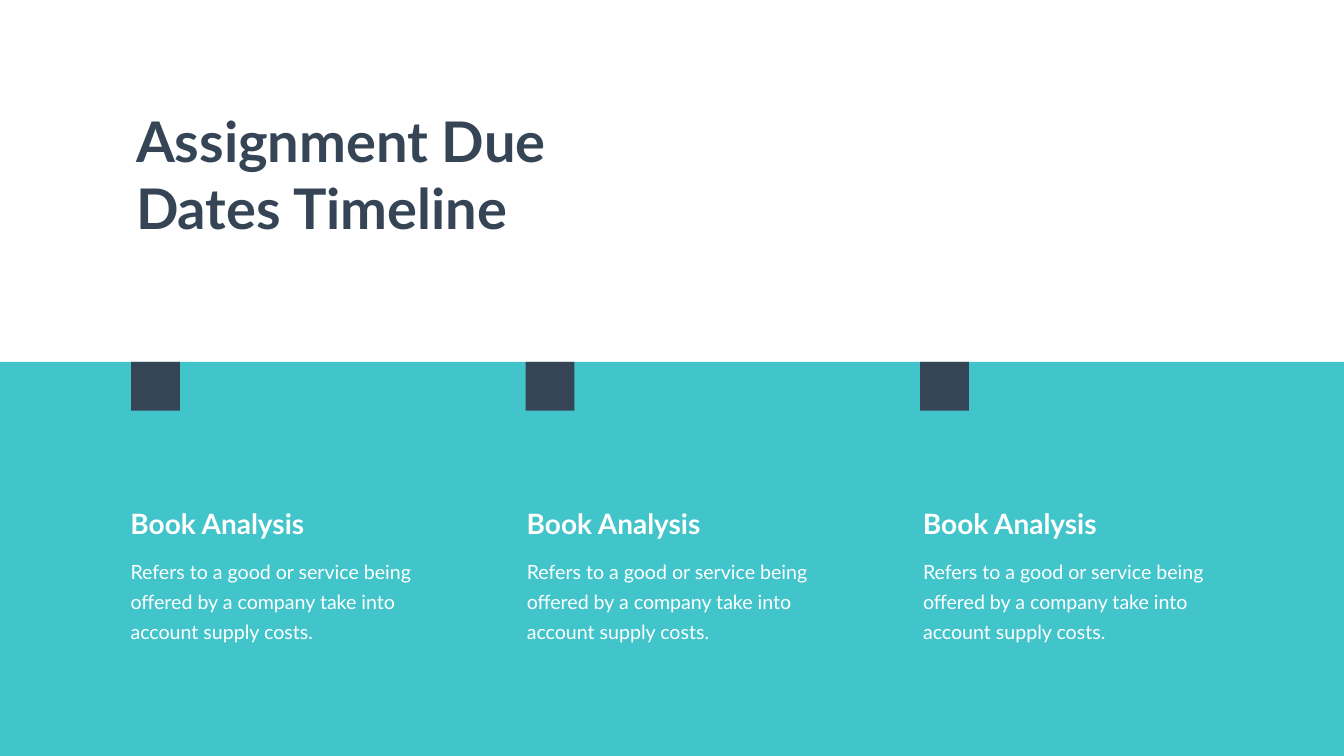
from dataclasses import dataclass

from pptx import Presentation
from pptx.dml.color import RGBColor
from pptx.enum.shapes import MSO_SHAPE
from pptx.util import Inches, Pt

RECTANGLE = MSO_SHAPE.RECTANGLE


@dataclass(frozen=True)
class Theme:
    font: str = "Lato"
    navy: str = "364556"
    teal: str = "42C4CB"
    white: str = "FFFFFF"
    title_size: int = 80
    heading_size: int = 40
    body_size: int = 28
    body_leading: int = 43


THEME = Theme()
SLIDE_WIDTH, SLIDE_HEIGHT = 26.66, 15
BAND_TOP = 7.18
MARKER_LEFT, MARKER_PITCH, MARKER_SIZE = 2.6, 7.825, 0.97
HEADING_LEFT, BODY_LEFT, TEXT_PITCH = 2.49, 2.35, 7.86

DESCRIPTION = (
    "Refers to a good or service being offered by a company "
    "take into account supply costs."
)
ASSIGNMENTS = [("Book Analysis", DESCRIPTION)] * 3


def add_block(slide, left, top, width, height, color):
    block = slide.shapes.add_shape(
        RECTANGLE, Inches(left), Inches(top), Inches(width), Inches(height)
    )
    block.shadow.inherit = False
    block.fill.solid()
    block.fill.fore_color.rgb = RGBColor.from_string(color)
    block.line.fill.background()


def add_text(slide, text, left, top, width, height, *, size, color,
             bold=False, leading=None, inset_x=0.1, inset_y=0.05):
    box = slide.shapes.add_textbox(
        Inches(left), Inches(top), Inches(width), Inches(height)
    )
    frame = box.text_frame
    frame.word_wrap = True
    frame.margin_left = frame.margin_right = Inches(inset_x)
    frame.margin_top = frame.margin_bottom = Inches(inset_y)
    paragraph = frame.paragraphs[0]
    if leading:
        paragraph.line_spacing = Pt(leading)
    run = paragraph.add_run()
    run.text = text
    run.font.name = THEME.font
    run.font.size = Pt(size)
    run.font.bold = bold
    run.font.color.rgb = RGBColor.from_string(color)


def add_assignment(slide, column, heading, description):
    """Add one timeline column: its marker, heading and description."""
    text_shift = column * TEXT_PITCH
    add_block(slide, MARKER_LEFT + column * MARKER_PITCH, BAND_TOP,
              MARKER_SIZE, MARKER_SIZE, THEME.navy)
    add_text(slide, description, BODY_LEFT + text_shift, 10.86, 6.24, 1.98,
             size=THEME.body_size, color=THEME.white,
             leading=THEME.body_leading, inset_x=0.24, inset_y=0.12)
    add_text(slide, heading, HEADING_LEFT + text_shift, 10.01, 3.97, 0.77,
             size=THEME.heading_size, color=THEME.white, bold=True)


def main():
    deck = Presentation()
    deck.slide_width = Inches(SLIDE_WIDTH)
    deck.slide_height = Inches(SLIDE_HEIGHT)
    slide = deck.slides.add_slide(deck.slide_layouts[6])

    add_block(slide, 0, BAND_TOP, SLIDE_WIDTH, SLIDE_HEIGHT - BAND_TOP, THEME.teal)
    add_text(slide, "Assignment Due Dates Timeline", 2.6, 2.06, 8.79, 2.79,
             size=THEME.title_size, color=THEME.navy, bold=True)
    for column, (heading, description) in enumerate(ASSIGNMENTS):
        add_assignment(slide, column, heading, description)

    deck.save("out.pptx")


if __name__ == "__main__":
    main()
